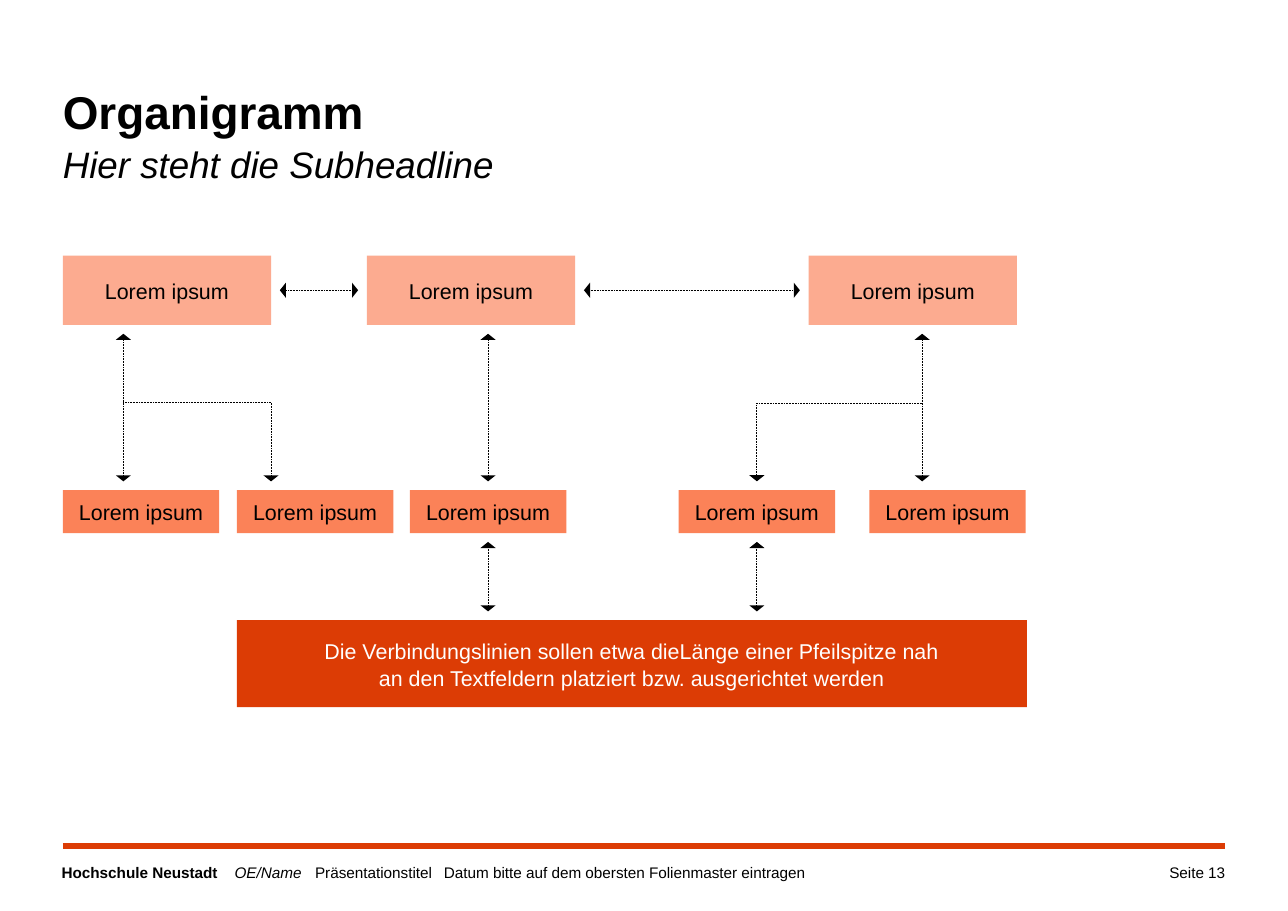
from dataclasses import dataclass

from lxml.etree import SubElement
from pptx import Presentation
from pptx.dml.color import RGBColor
from pptx.enum.dml import MSO_LINE_DASH_STYLE as Dash
from pptx.enum.shapes import MSO_CONNECTOR_TYPE as Connector, MSO_SHAPE as Shape
from pptx.enum.text import MSO_ANCHOR as Anchor, PP_ALIGN as Align
from pptx.oxml.ns import qn
from pptx.util import Inches, Pt

BLACK = RGBColor(0x00, 0x00, 0x00)
WHITE = RGBColor(0xFF, 0xFF, 0xFF)
SALMON = RGBColor(0xFC, 0xAB, 0x90)
ORANGE = RGBColor(0xFB, 0x82, 0x58)
RED = RGBColor(0xDC, 0x3C, 0x05)

MARGIN, RIGHT_EDGE = 0.57, 11.12
GAP = 0.08  # distance between an arrow tip and a box


@dataclass(frozen=True)
class Level:
    top: float
    width: float
    height: float
    fill: RGBColor
    ink: RGBColor
    lefts: tuple[float, ...]
    lines: tuple[str, ...] = ("Lorem ipsum",)

    @property
    def bottom(self) -> float:
        return self.top + self.height


@dataclass(frozen=True)
class Branch:
    trunk_x: float
    y: float
    target_x: float


HEADS = Level(2.32, 1.89, 0.63, SALMON, BLACK, (MARGIN, 3.33, 7.34))
UNITS = Level(4.45, 1.42, 0.39, ORANGE, BLACK, (MARGIN, 2.15, 3.72, 6.16, 7.89))
NOTE = Level(5.63, 7.17, 0.79, RED, WHITE, (2.15,),
             ("Die Verbindungslinien sollen etwa dieLänge einer Pfeilspitze nah",
              "an den Textfeldern platziert bzw. ausgerichtet werden"))
HEAD_TO_UNIT_X = (1.12, 4.43, 8.37)
UNIT_TO_NOTE_X = (4.43, 6.87)
BRANCHES = (Branch(1.12, 3.65, 2.46), Branch(8.37, 3.66, 6.87))


def apply(target, values: dict) -> None:
    for name, value in values.items():
        setattr(target, name, value)


def add_run(paragraph, text: str, size: float, color: RGBColor = BLACK,
            bold: bool = False, italic: bool = False) -> None:
    run = paragraph.add_run()
    run.text = text
    apply(run.font, {"name": "Arial", "size": Pt(size), "bold": bold, "italic": italic})
    run.font.color.rgb = color


def set_frame(frame, anchor: Anchor, wrap: bool, side: float = 0, edge: float = 0) -> None:
    apply(frame, {"vertical_anchor": anchor, "word_wrap": wrap,
                  "margin_left": Inches(side), "margin_right": Inches(side),
                  "margin_top": Inches(edge), "margin_bottom": Inches(edge)})


def add_text(slide, left: float, width: float, align: Align):
    box = slide.shapes.add_textbox(Inches(left), Inches(7.84), Inches(width), Inches(0.24))
    set_frame(box.text_frame, Anchor.TOP, True)
    paragraph = box.text_frame.paragraphs[0]
    paragraph.alignment = align
    return paragraph


def add_line(slide, x1: float, y1: float, x2: float, y2: float):
    line = slide.shapes.add_connector(
        Connector.STRAIGHT, Inches(x1), Inches(y1), Inches(x2), Inches(y2))
    SubElement(line._element.spPr, qn("a:effectLst"))
    return line


def style_arrow(line, ends: tuple[str, ...]) -> None:
    apply(line, {"width": Pt(0.5), "dash_style": Dash.ROUND_DOT})
    line.color.rgb = BLACK
    for end in ends:
        SubElement(line._get_or_add_ln(), qn(f"a:{end}"), type="triangle", w="lg", len="sm")


def add_arrow(slide, x1: float, y1: float, x2: float, y2: float) -> None:
    style_arrow(add_line(slide, x1, y1, x2, y2).line, ("headEnd", "tailEnd"))


def add_branch(slide, branch: Branch) -> None:
    builder = slide.shapes.build_freeform(Inches(branch.trunk_x), Inches(branch.y))
    builder.add_line_segments(
        [(Inches(branch.target_x), Inches(branch.y)),
         (Inches(branch.target_x), Inches(UNITS.top - GAP))], close=False)
    elbow = builder.convert_to_shape()
    elbow.shadow.inherit = False
    elbow.fill.background()
    style_arrow(elbow.line, ("tailEnd",))


def add_level(slide, level: Level) -> None:
    for left in level.lefts:
        box = slide.shapes.add_shape(Shape.RECTANGLE, Inches(left), Inches(level.top),
                                     Inches(level.width), Inches(level.height))
        box.shadow.inherit = False
        box.fill.solid()
        box.fill.fore_color.rgb = level.fill
        box.line.fill.background()
        frame = box.text_frame
        set_frame(frame, Anchor.MIDDLE, False, 0.2, 0.15)
        for index, text in enumerate(level.lines):
            paragraph = frame.add_paragraph() if index else frame.paragraphs[0]
            apply(paragraph, {"alignment": Align.CENTER, "line_spacing": 1.05})
            add_run(paragraph, text, 14, level.ink)


def add_heading(slide) -> None:
    title = slide.shapes.title
    apply(title, {"left": Inches(MARGIN), "top": Inches(0.73),
                  "width": Inches(RIGHT_EDGE - MARGIN), "height": Inches(1.04)})
    set_frame(title.text_frame, Anchor.TOP, True)
    heading = title.text_frame.paragraphs[0]
    apply(heading, {"alignment": Align.LEFT, "line_spacing": 1.06})
    add_run(heading, "Organigramm", 30, bold=True)
    heading.add_line_break()
    add_run(heading, "Hier steht die Subheadline", 24, italic=True)


def add_footer(slide) -> None:
    rule = add_line(slide, MARGIN, 7.68, RIGHT_EDGE, 7.68).line
    rule.color.rgb = RED
    rule.width = Pt(4)

    footer = add_text(slide, 0.56, 8.44, Align.LEFT)
    tabs = SubElement(footer._p.get_or_add_pPr(), qn("a:tabLst"))
    for stop in (1.57, 2.3, 3.47):
        SubElement(tabs, qn("a:tab"), pos=str(Inches(stop)), algn="l")
    add_run(footer, "Hochschule Neustadt\t", 10, bold=True)
    add_run(footer, "OE/Name\t", 10, italic=True)
    add_run(footer, "Präsentationstitel\tDatum bitte auf dem obersten Folienmaster eintragen", 10)

    add_run(add_text(slide, 9.78, 1.34, Align.RIGHT), "Seite 13", 10)


def main() -> None:
    deck = Presentation()
    apply(deck, {"slide_width": Inches(11.69), "slide_height": Inches(8.27)})
    slide = deck.slides.add_slide(deck.slide_layouts[5])

    # Heading and footer
    add_footer(slide)
    add_heading(slide)

    # Boxes of the organisation chart
    for level in (HEADS, UNITS, NOTE):
        add_level(slide, level)

    # Arrows between neighbouring heads
    middle = HEADS.top + HEADS.height / 2
    for left, following in zip(HEADS.lefts, HEADS.lefts[1:]):
        add_arrow(slide, left + HEADS.width + GAP, middle, following - GAP, middle)

    # Arrows between levels
    for upper, lower, columns in ((HEADS, UNITS, HEAD_TO_UNIT_X),
                                  (UNITS, NOTE, UNIT_TO_NOTE_X)):
        for x in columns:
            add_arrow(slide, x, upper.bottom + GAP, x, lower.top - GAP)
    for branch in BRANCHES:
        add_branch(slide, branch)

    deck.save("out.pptx")


if __name__ == "__main__":
    main()
